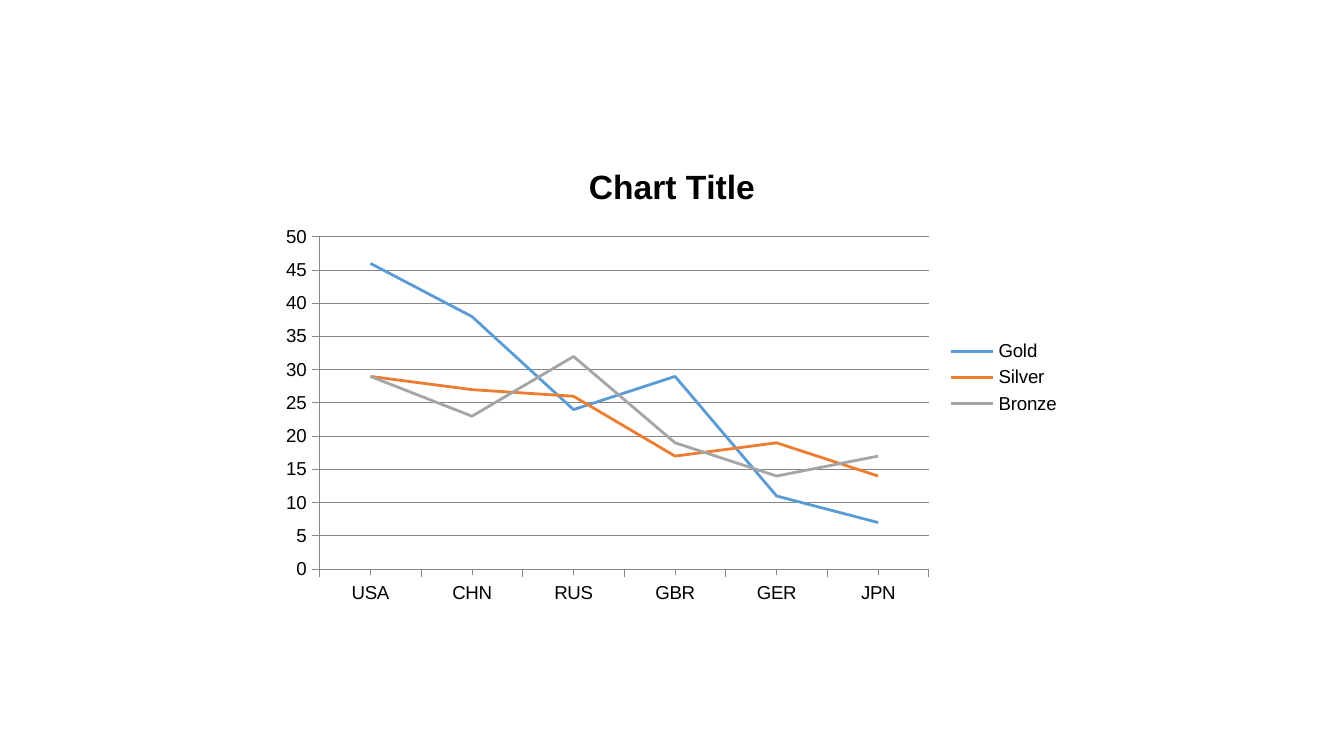
from pptx import Presentation
from pptx.chart.data import CategoryChartData as Data
from pptx.dml.color import RGBColor
from pptx.enum.chart import XL_CHART_TYPE as Kind, XL_LEGEND_POSITION as Side
from pptx.enum.chart import XL_TICK_MARK as Tick
from pptx.util import Inches, Pt

BLACK = RGBColor(0x00, 0x00, 0x00)
GREY = RGBColor(0x87, 0x87, 0x87)
BLUE = RGBColor(0x5B, 0x9B, 0xD5)
ORANGE = RGBColor(0xED, 0x7D, 0x31)
SILVER = RGBColor(0xA5, 0xA5, 0xA5)

TEAMS = ["USA", "CHN", "RUS", "GBR", "GER", "JPN"]
MEDALS = [
    ("Gold", [46, 38, 24, 29, 11, 7], BLUE),
    ("Silver", [29, 27, 26, 17, 19, 14], ORANGE),
    ("Bronze", [29, 23, 32, 19, 14, 17], SILVER),
]


def style(font, size=10, bold=False, color=BLACK):
    font.name = "Arial"
    font.size = Pt(size)
    font.bold = bold
    font.color.rgb = color


def write(frame, text, **form):
    run = frame.paragraphs[0].add_run()
    run.text = text
    style(run.font, **form)


def stroke(line, color, width):
    line.color.rgb = color
    line.width = Pt(width)


def medal_chart(slide, left, top, width, height):
    data = Data()
    data.categories = TEAMS
    for name, vals, _ in MEDALS:
        data.add_series(name, vals)
    box = [Inches(n) for n in (left, top, width, height)]
    chart = slide.shapes.add_chart(Kind.LINE, *box, data).chart
    style(chart.font)
    chart.has_title = True
    write(chart.chart_title.text_frame, "Chart Title", size=18, bold=True)
    chart.chart_title.include_in_layout = False

    chart.has_legend = True
    chart.legend.position = Side.RIGHT
    chart.legend.include_in_layout = False
    style(chart.legend.font)

    teams, scale = chart.category_axis, chart.value_axis
    for axis in (teams, scale):
        axis.major_tick_mark = Tick.OUTSIDE
        stroke(axis.format.line, GREY, 0.5)
        style(axis.tick_labels.font)
    teams.minor_tick_mark = Tick.OUTSIDE
    scale.minor_tick_mark = Tick.NONE
    scale.minimum_scale, scale.maximum_scale, scale.major_unit = 0, 50, 5
    scale.has_major_gridlines = True
    stroke(scale.major_gridlines.format.line, GREY, 0.5)

    plot = chart.plots[0]
    plot.vary_by_categories = False
    for series, (_, _, color) in zip(plot.series, MEDALS):
        series.smooth = False
        stroke(series.format.line, color, 1.5)


def main():
    deck = Presentation()
    deck.slide_width = Inches(10)
    deck.slide_height = deck.slide_width * 9 // 16
    slide = deck.slides.add_slide(deck.slide_layouts[6])
    medal_chart(slide, 2.01, 1.06, 5.98, 3.5)
    deck.save("out.pptx")


if __name__ == "__main__":
    main()
